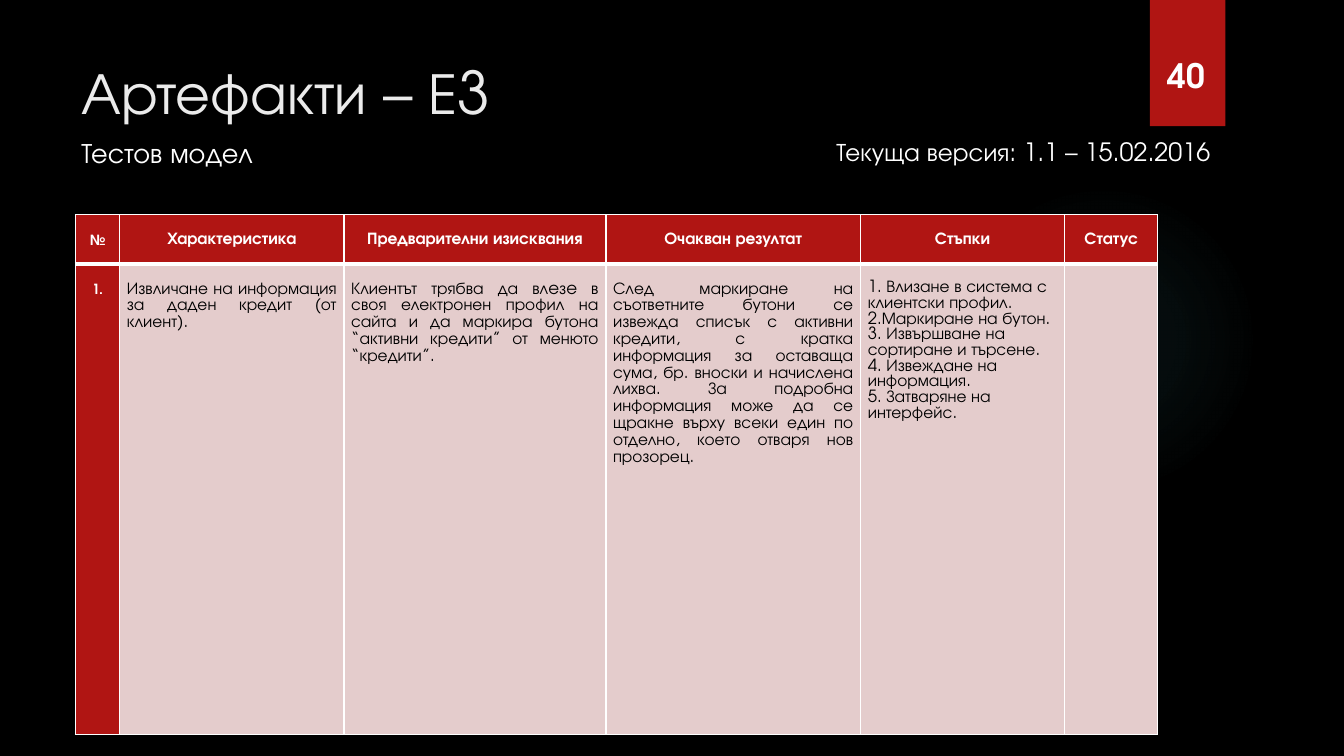
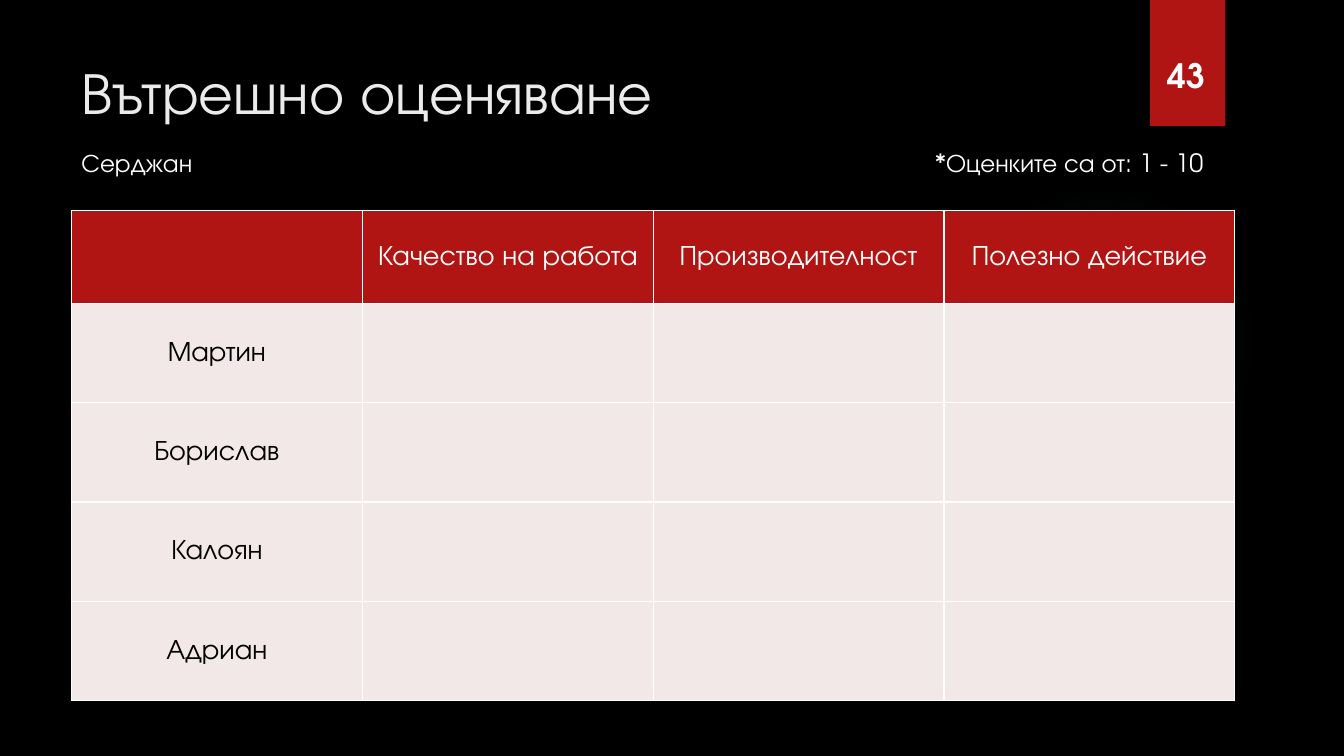
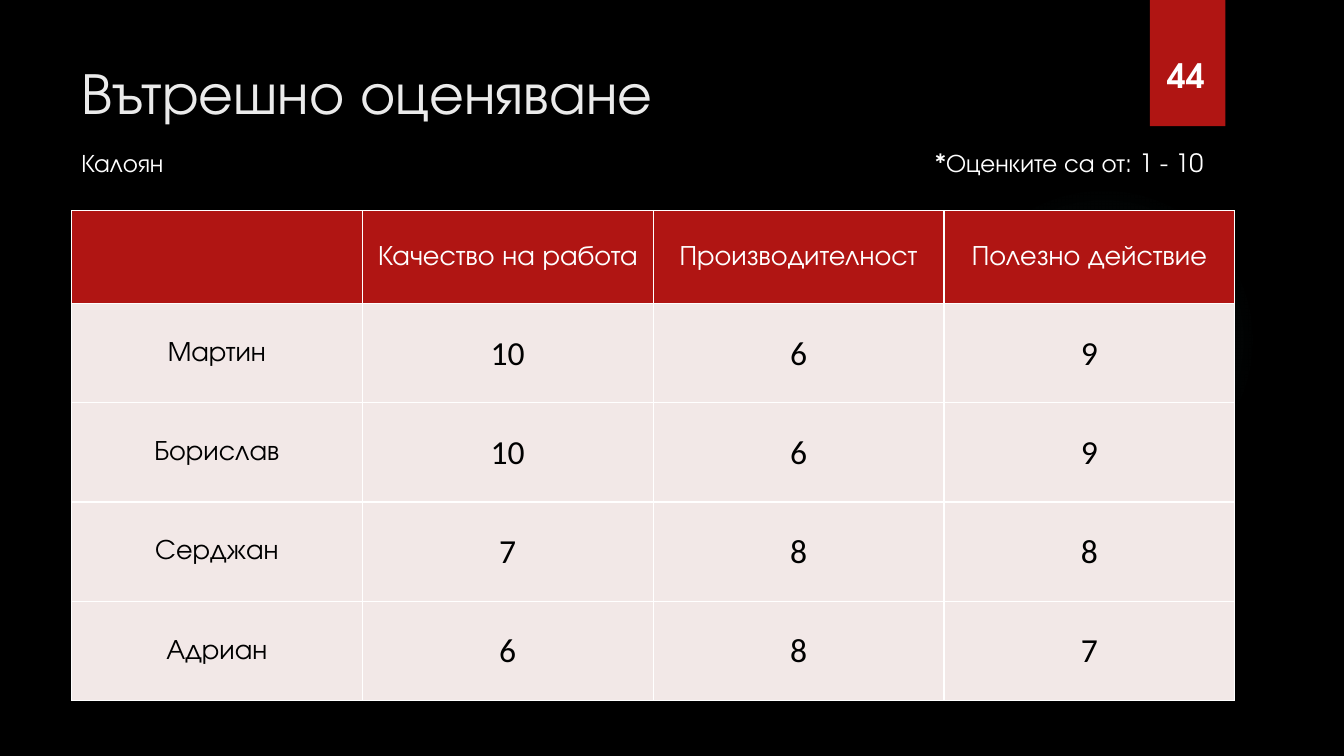
from dataclasses import dataclass, replace

from pptx import Presentation, oxml, util as u
from pptx.dml.color import RGBColor
from pptx.enum import shapes, text
from pptx.oxml.ns import nsdecls, qn

FONT = "TeX Gyre Adventor"
BLACK, WHITE, RED = "000000", "FFFFFF", "B01513"
PALE, ROSE, CLOUD, TEAL = "F2E8E7", "E4CCCC", "EBEBEB", "50B9C1"
ALIGN, ANCHOR = text.PP_ALIGN, text.MSO_ANCHOR


@dataclass(frozen=True)
class Box:
    left: float
    top: float
    width: float
    height: float

    def cm(self) -> tuple:
        return tuple(u.Cm(n) for n in (self.left, self.top, self.width, self.height))


@dataclass(frozen=True)
class Face:
    size: int
    color: str = WHITE
    bold: bool = False
    font: str = FONT
    align: int = ALIGN.LEFT
    lead: int | None = None


@dataclass(frozen=True)
class Pad:
    side: float
    top: float
    anchor: int


@dataclass(frozen=True)
class Item:
    words: str
    face: Face
    fill: str


@dataclass(frozen=True)
class Grid:
    left: float
    top: float
    cols: list
    rows: list
    pad: Pad
    rule: float = 1


@dataclass(frozen=True)
class Label:
    words: str
    box: Box
    face: Face
    wrap: bool = False


@dataclass(frozen=True)
class Page:
    title: str
    number: int
    labels: list
    grid: Grid
    items: list


TITLE = Face(42, CLOUD)
NUMBER = Face(24, bold=True)
LARGE, SMALL = Face(20), Face(18)

HEAD = Face(12, bold=True, align=ALIGN.CENTER, lead=12)
MARK = replace(HEAD, size=10)
BODY = Face(12, BLACK, align=ALIGN.JUSTIFY, lead=12)
STEPS = Face(12, BLACK)

TOP = Face(20, align=ALIGN.CENTER)
NAME = replace(TOP, color=BLACK)
SCORE = replace(NAME, size=24, font="Calibri")

TESTS = Grid(1.9, 5.41, [1.12, 5.65, 6.6, 6.42, 5.14, 2.35], [1.24, 11.86],
             Pad(0.18, 0.42, ANCHOR.TOP), 3)
MARKS = Grid(1.8, 5.31, [7.33] * 4, [2.34] + [2.5] * 4,
             Pad(0.03, 0.03, ANCHOR.MIDDLE))


def paint(color: str) -> RGBColor:
    return RGBColor.from_string(color)


def write(frame, words: str, face: Face) -> None:
    frame.text = words
    for line in frame.paragraphs:
        line.alignment = face.align
        if face.lead:
            line.line_spacing = u.Pt(face.lead)
        for run in line.runs:
            font = run.font
            font.name, font.size, font.bold = face.font, u.Pt(face.size), face.bold
            font.color.rgb = paint(face.color)


def add_label(slide, label: Label) -> None:
    frame = slide.shapes.add_textbox(*label.box.cm()).text_frame
    write(frame, label.words, label.face)
    frame.word_wrap = label.wrap
    if not label.wrap:
        frame.auto_size = text.MSO_AUTO_SIZE.SHAPE_TO_FIT_TEXT


def add_form(slide, kind: int, box: Box, color: str):
    form = slide.shapes.add_shape(kind, *box.cm())
    form.shadow.inherit = False
    form.fill.solid()
    form.fill.fore_color.rgb = paint(color)
    form.line.fill.background()
    return form


def add_glow(slide) -> None:
    form = add_form(slide, shapes.MSO_SHAPE.OVAL, Box(23.9, 4.65, 7.82, 7.82), TEAL)
    stops = "".join(
        f'<a:gs pos="{spot * 1000}"><a:srgbClr val="{TEAL}">'
        f'<a:alpha val="{alpha * 1000}"/></a:srgbClr></a:gs>'
        for spot, alpha in ((0, 7), (36, 6), (69, 0)))
    blend = oxml.parse_xml(
        f'<a:gradFill {nsdecls("a")}><a:gsLst>{stops}</a:gsLst><a:path path="circle">'
        '<a:fillToRect l="50000" t="50000" r="50000" b="50000"/></a:path></a:gradFill>')
    plain = form.element.spPr.find(qn("a:solidFill"))
    plain.getparent().replace(plain, blend)


def add_edge(cell, side: str, width: float) -> None:
    edge = oxml.parse_xml(
        f'<a:{side} {nsdecls("a")} w="{u.Pt(width)}"><a:solidFill>'
        f'<a:srgbClr val="{WHITE}"/></a:solidFill></a:{side}>')
    cell._tc.get_or_add_tcPr().append(edge)


def add_grid(slide, grid: Grid, items: list) -> None:
    box = Box(grid.left, grid.top, sum(grid.cols), sum(grid.rows))
    table = slide.shapes.add_table(len(grid.rows), len(grid.cols), *box.cm()).table
    table.first_row = table.horz_banding = False
    for col, width in zip(table.columns, grid.cols):
        col.width = u.Cm(width)
    for row, height in zip(table.rows, grid.rows):
        row.height = u.Cm(height)
    for r, line in enumerate(items):
        for c, item in enumerate(line):
            cell = table.cell(r, c)
            pad = grid.pad
            cell.margin_left = cell.margin_right = u.Cm(pad.side)
            cell.margin_top, cell.margin_bottom = u.Cm(pad.top), 0
            cell.vertical_anchor = pad.anchor
            write(cell.text_frame, item.words, item.face)
            for side in ("lnL", "lnR", "lnT", "lnB"):
                thick = (r, side) in ((0, "lnB"), (1, "lnT"))
                add_edge(cell, side, grid.rule if thick else 1)
            cell.fill.solid()
            cell.fill.fore_color.rgb = paint(item.fill)


def add_page(deck, page: Page) -> None:
    slide = deck.slides.add_slide(deck.slide_layouts[6])
    add_glow(slide)
    add_form(slide, shapes.MSO_SHAPE.RECTANGLE, Box(28.98, 0, 1.9, 3.18), RED)
    add_label(slide, Label(page.title, Box(1.8, 1.27, 26.14, 3.89), TITLE, True))
    add_label(slide, Label(str(page.number), Box(29.18, 1.27, 1.47, 1.27), NUMBER))
    for label in page.labels:
        add_label(slide, label)
    add_grid(slide, page.grid, page.items)


def test_page() -> Page:
    heads = ["№", "Характеристика", "Предварителни изисквания",
             "Очакван резултат", "Стъпки", "Статус"]
    cells = [
        "1.",
        "Извличане на информация за даден кредит (от клиент).",
        "Клиентът трябва да влeзe в своя електронен профил на сайта и да маркира "
        "бутона “активни кредити” от менюто “кредити”.",
        "След маркиране на съответните бутони се извежда списък с активни кредити, "
        "с кратка информация за оставаща сума, бр. вноски и начислена лихва. "
        "За подробна информация може да се щракне върху всеки един по отделно, "
        "което отваря нов прозорец.",
        "1. Влизане в система с клиентски профил.\n2.Маркиране на бутон.\n"
        "3. Извършване на сортиране и търсене.\n4. Извеждане на информация.\n"
        "5. Затваряне на интерфейс.",
        "",
    ]
    top = [Item(words, HEAD if c else MARK, RED) for c, words in enumerate(heads)]
    faces = [MARK, BODY, BODY, BODY, STEPS, STEPS]
    row = [Item(words, face, ROSE if c else RED)
           for c, (words, face) in enumerate(zip(cells, faces))]
    labels = [
        Label("Тестов модел", Box(1.8, 3.3, 22.35, 1.12), LARGE, True),
        Label("Текуща версия: 1.1 – 15.02.2016", Box(20.83, 3.3, 10.49, 1.02), SMALL),
    ]
    return Page("Артефакти – Е3", 40, labels, TESTS, [top, row])


def mark_page(number: int, judge: str, width: float, marks: dict) -> Page:
    heads = ["", "Качество на работа", "Производителност", "Полезно действие"]
    items = [[Item(words, TOP, RED) for words in heads]]
    for name, scores in marks.items():
        cells = [Item(str(score), SCORE, PALE) for score in scores]
        items.append([Item(name, NAME, PALE)] + cells)
    labels = [
        Label(judge, Box(1.8, 3.58, width, 1.02), SMALL),
        Label("*Оценките са от: 1 - 10", Box(23.32, 3.58, 7.8, 1.02), SMALL),
    ]
    return Page("Вътрешно оценяване", number, labels, MARKS, items)


def main() -> None:
    deck = Presentation()
    deck.slide_width, deck.slide_height = u.Cm(33.87), u.Cm(19.05)
    back = deck.slide_master.background.fill
    back.solid()
    back.fore_color.rgb = paint(BLACK)
    blank = ("", "", "")
    pages = [
        test_page(),
        mark_page(43, "Серджан", 3.58, dict.fromkeys(
            ["Мартин", "Борислав", "Калоян", "Адриан"], blank)),
        mark_page(44, "Калоян", 2.77, {
            "Мартин": (10, 6, 9), "Борислав": (10, 6, 9),
            "Серджан": (7, 8, 8), "Адриан": (6, 8, 7)}),
    ]
    for page in pages:
        add_page(deck, page)
    deck.save("out.pptx")


if __name__ == "__main__":
    main()
